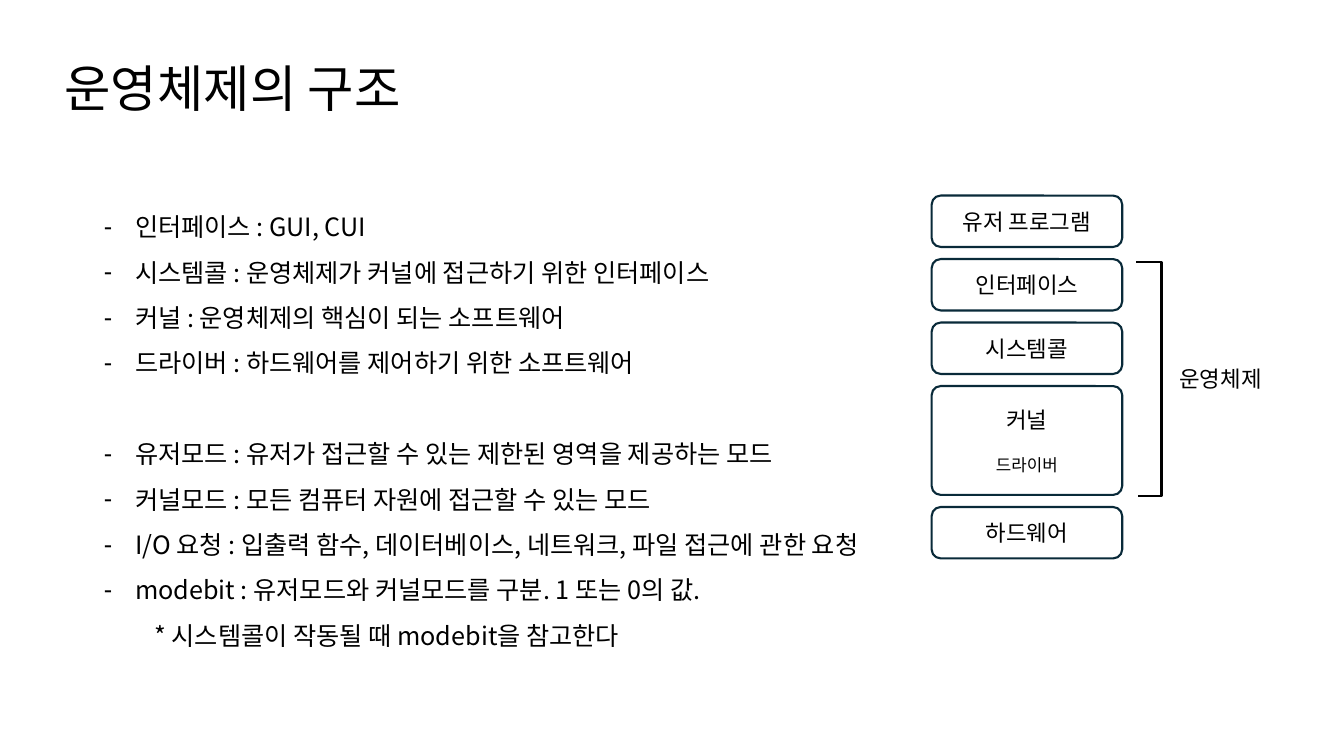
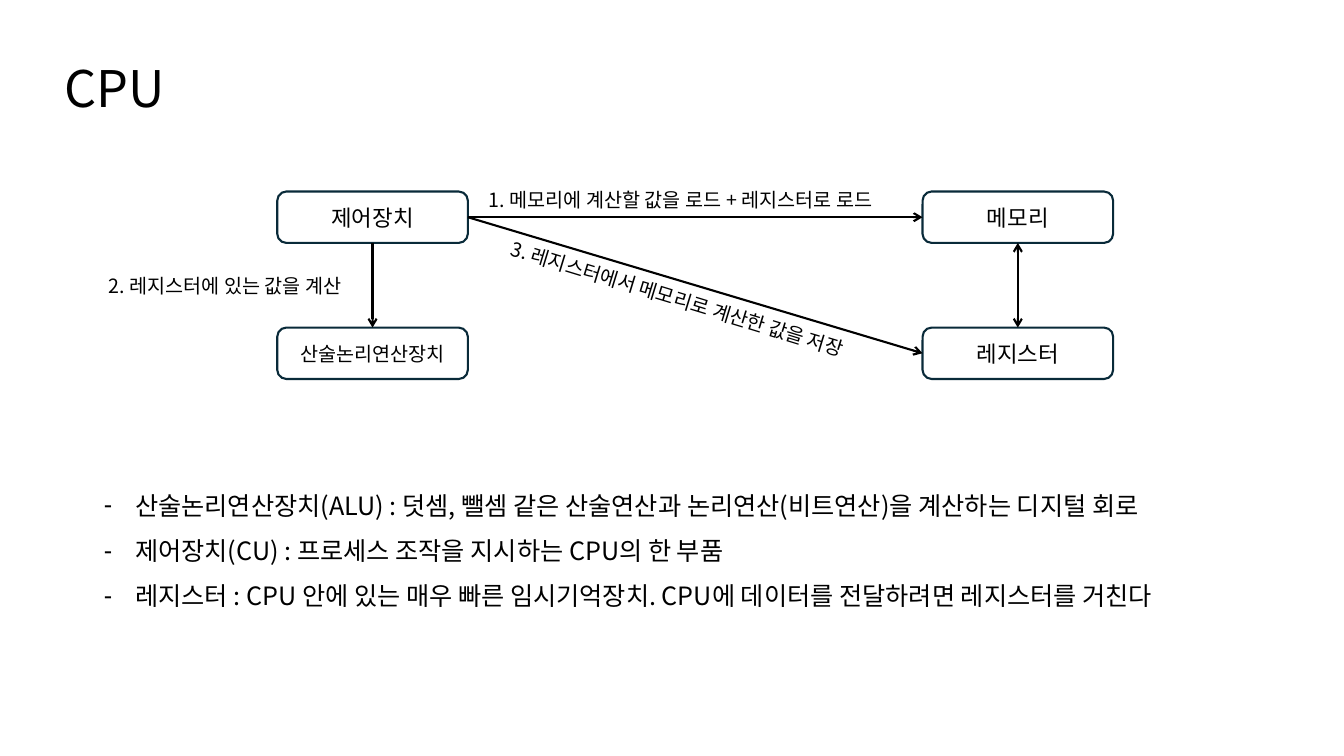
import pptx
import pptx.dml.color
import pptx.enum.shapes
import pptx.enum.text
import pptx.oxml.ns
import pptx.util
from lxml import etree

PX = 9144  # EMU in one px, 100 px to the inch
FONT = "Noto Sans CJK KR"
INK, OUTLINE = "000000", "092A39"
TITLE_SIZE, BODY_SIZE, BOX_SIZE, LABEL_SIZE = 36, 18, 16, 14
LINE_PITCH = 32.4
BOX_WIDTH, BOX_HEIGHT, CORNER = 189, 51, 9
TOP, LEFT, BOTTOM, RIGHT = range(4)  # connection sites of a box

ITEM, ITEM_AFTER_GAP, REMARK = "item", "item after gap", "remark"

STRUCTURE = {
    "title": "운영체제의 구조",
    "body": (93, 190, 815, 459),
    "lines": [
        (ITEM, "인터페이스 : GUI, CUI"),
        (ITEM, "시스템콜 : 운영체제가 커널에 접근하기 위한 인터페이스"),
        (ITEM, "커널 : 운영체제의 핵심이 되는 소프트웨어"),
        (ITEM, "드라이버 : 하드웨어를 제어하기 위한 소프트웨어"),
        (ITEM_AFTER_GAP, "유저모드 : 유저가 접근할 수 있는 제한된 영역을 제공하는 모드"),
        (ITEM, "커널모드 : 모든 컴퓨터 자원에 접근할 수 있는 모드"),
        (ITEM, "I/O 요청 : 입출력 함수, 데이터베이스, 네트워크, 파일 접근에 관한 요청"),
        (ITEM, "modebit : 유저모드와 커널모드를 구분. 1 또는 0의 값."),
        (REMARK, "* 시스템콜이 작동될 때 modebit을 참고한다"),
    ],
}
# Each layer: height and its lines of text with their sizes
LAYERS = [
    (BOX_HEIGHT, [("유저 프로그램", BOX_SIZE)]),
    (BOX_HEIGHT, [("인터페이스", BOX_SIZE)]),
    (BOX_HEIGHT, [("시스템콜", BOX_SIZE)]),
    (108, [("커널", BOX_SIZE), ("드라이버", 12)]),
    (BOX_HEIGHT, [("하드웨어", BOX_SIZE)]),
]
STACK_LEFT, STACK_TOP, STACK_GAP = 924, 194, 12
BRACKET = [(1127, 260), (1152, 260), (1152, 492), (1129, 492)]
BRACKET_LABEL = ("운영체제", (1160, 357, 106, 37), BOX_SIZE, 0)

CPU = {
    "title": "CPU",
    "body": (93, 466, 1132, 141),
    "lines": [
        (ITEM, "산술논리연산장치(ALU) : 덧셈, 뺄셈 같은 산술연산과 논리연산(비트연산)을 계산하는 디지털 회로"),
        (ITEM, "제어장치(CU) : 프로세스 조작을 지시하는 CPU의 한 부품"),
        (ITEM, "레지스터 : CPU 안에 있는 매우 빠른 임시기억장치. CPU에 데이터를 전달하려면 레지스터를 거친다"),
    ],
}
COLUMNS, ROWS = (275, 915), (190, 325)
# Each unit: column, row, text size
UNITS = {
    "제어장치": (0, 0, BOX_SIZE),
    "산술논리연산장치": (0, 1, LABEL_SIZE),
    "메모리": (1, 0, BOX_SIZE),
    "레지스터": (1, 1, BOX_SIZE),
}
# Each arrow: start, its site, end, its site, two-headed
ARROWS = [
    ("제어장치", RIGHT, "메모리", LEFT, False),
    ("레지스터", TOP, "메모리", BOTTOM, True),
    ("제어장치", BOTTOM, "산술논리연산장치", TOP, False),
    ("제어장치", RIGHT, "레지스터", LEFT, False),
]
STEP_LABELS = [
    ("1. 메모리에 계산할 값을 로드 + 레지스터로 로드", (475, 181, 431, 34), LABEL_SIZE, 0),
    ("2. 레지스터에 있는 값을 계산", (98, 266, 270, 34), LABEL_SIZE, 0),
    ("3. 레지스터에서 메모리로 계산한 값을 저장", (490, 283, 389, 34), LABEL_SIZE, 17),
]


def px(*lengths):
    return [pptx.util.Emu(round(length * PX)) for length in lengths]


def color(value):
    return pptx.dml.color.RGBColor.from_string(value)


def sub(parent, tag, **attributes):
    return etree.SubElement(parent, pptx.oxml.ns.qn(tag), attributes)


def write(para, text, size):
    span = para.add_run()
    span.text = text
    span.font.size = pptx.util.Pt(size)
    span.font.color.rgb = color(INK)
    span.font.name = FONT
    sub(span._r.get_or_add_rPr(), "a:ea", typeface=FONT)


def place(box, bounds):
    box.left, box.top, box.width, box.height = px(*bounds)


def set_frame(box, anchor, wrap=True):
    frame = box.text_frame
    frame.auto_size = pptx.enum.text.MSO_AUTO_SIZE.NONE
    frame.vertical_anchor = anchor
    frame.word_wrap = wrap
    return frame


def paragraphs(frame, count):
    return [frame.paragraphs[0]] + [frame.add_paragraph() for _ in range(count - 1)]


def write_list_line(para, kind, text):
    para.line_spacing = pptx.util.Pt(LINE_PITCH)
    para.space_before = pptx.util.Pt(LINE_PITCH if kind == ITEM_AFTER_GAP else 0)
    para.alignment = pptx.enum.text.PP_ALIGN.LEFT
    is_remark = kind == REMARK
    para.level = 1 if is_remark else 0
    margin, indent = px(50, 0) if is_remark else px(31, -31)
    properties = para._p.get_or_add_pPr()
    properties.set("marL", str(margin))
    properties.set("indent", str(indent))
    if is_remark:
        sub(properties, "a:buNone")
    else:
        sub(properties, "a:buChar", char="-")
    write(para, text, BODY_SIZE)


def add_page(deck, content):
    page = deck.slides.add_slide(deck.slide_layouts[1])
    title, body = page.placeholders
    place(title, (54, 51, 1220, 71))
    heading = set_frame(title, pptx.enum.text.MSO_ANCHOR.MIDDLE).paragraphs[0]
    heading.alignment = pptx.enum.text.PP_ALIGN.LEFT
    write(heading, content["title"], TITLE_SIZE)

    place(body, content["body"])
    frame = set_frame(body, pptx.enum.text.MSO_ANCHOR.TOP)
    lines = content["lines"]
    for para, (kind, text) in zip(paragraphs(frame, len(lines)), lines):
        write_list_line(para, kind, text)
    return page


def set_line(shape, value):
    shape.line.color.rgb = color(value)
    shape.line.width = pptx.util.Pt(1.5)


def add_box(page, left, top, height, texts):
    box = page.shapes.add_shape(
        pptx.enum.shapes.MSO_SHAPE.ROUNDED_RECTANGLE, *px(left, top, BOX_WIDTH, height))
    box.adjustments[0] = CORNER / height
    box.shadow.inherit = False
    box.fill.background()
    set_line(box, OUTLINE)
    frame = set_frame(box, pptx.enum.text.MSO_ANCHOR.MIDDLE)
    for index, (para, (text, size)) in enumerate(zip(paragraphs(frame, len(texts)), texts)):
        para.alignment = pptx.enum.text.PP_ALIGN.CENTER
        para.space_before = pptx.util.Pt(16 if index else 0)
        write(para, text, size)
    return box


def add_label(page, text, bounds, size, rotation):
    label = page.shapes.add_textbox(*px(*bounds))
    label.rotation = rotation
    frame = set_frame(label, pptx.enum.text.MSO_ANCHOR.MIDDLE, wrap=False)
    write(frame.paragraphs[0], text, size)


def add_arrow(page, start, start_site, end, end_site, two_headed):
    arrow = page.shapes.add_connector(
        pptx.enum.shapes.MSO_CONNECTOR.STRAIGHT, 0, 0, 0, 0)
    arrow.begin_connect(start, start_site)
    arrow.end_connect(end, end_site)
    set_line(arrow, INK)
    line = arrow.line._get_or_add_ln()
    if two_headed:
        sub(line, "a:headEnd", type="arrow")
    sub(line, "a:tailEnd", type="arrow")
    sub(arrow._element.spPr, "a:effectLst")


def add_bracket(page, points):
    builder = page.shapes.build_freeform(*points[0], scale=PX)
    builder.add_line_segments(points[1:], close=False)
    bracket = builder.convert_to_shape()
    bracket.shadow.inherit = False
    bracket.fill.background()
    set_line(bracket, INK)


def build_structure(deck):
    page = add_page(deck, STRUCTURE)
    top = STACK_TOP
    for height, texts in LAYERS:
        add_box(page, STACK_LEFT, top, height, texts)
        top += height + STACK_GAP
    add_bracket(page, BRACKET)
    add_label(page, *BRACKET_LABEL)


def build_cpu(deck):
    page = add_page(deck, CPU)
    units = {
        name: add_box(page, COLUMNS[column], ROWS[row], BOX_HEIGHT, [(name, size)])
        for name, (column, row, size) in UNITS.items()
    }
    for start, start_site, end, end_site, two_headed in ARROWS:
        add_arrow(page, units[start], start_site, units[end], end_site, two_headed)
    for label in STEP_LABELS:
        add_label(page, *label)


def main():
    deck = pptx.Presentation()
    deck.slide_width, deck.slide_height = px(1333, 750)
    build_structure(deck)
    build_cpu(deck)
    deck.save("out.pptx")


if __name__ == "__main__":
    main()
